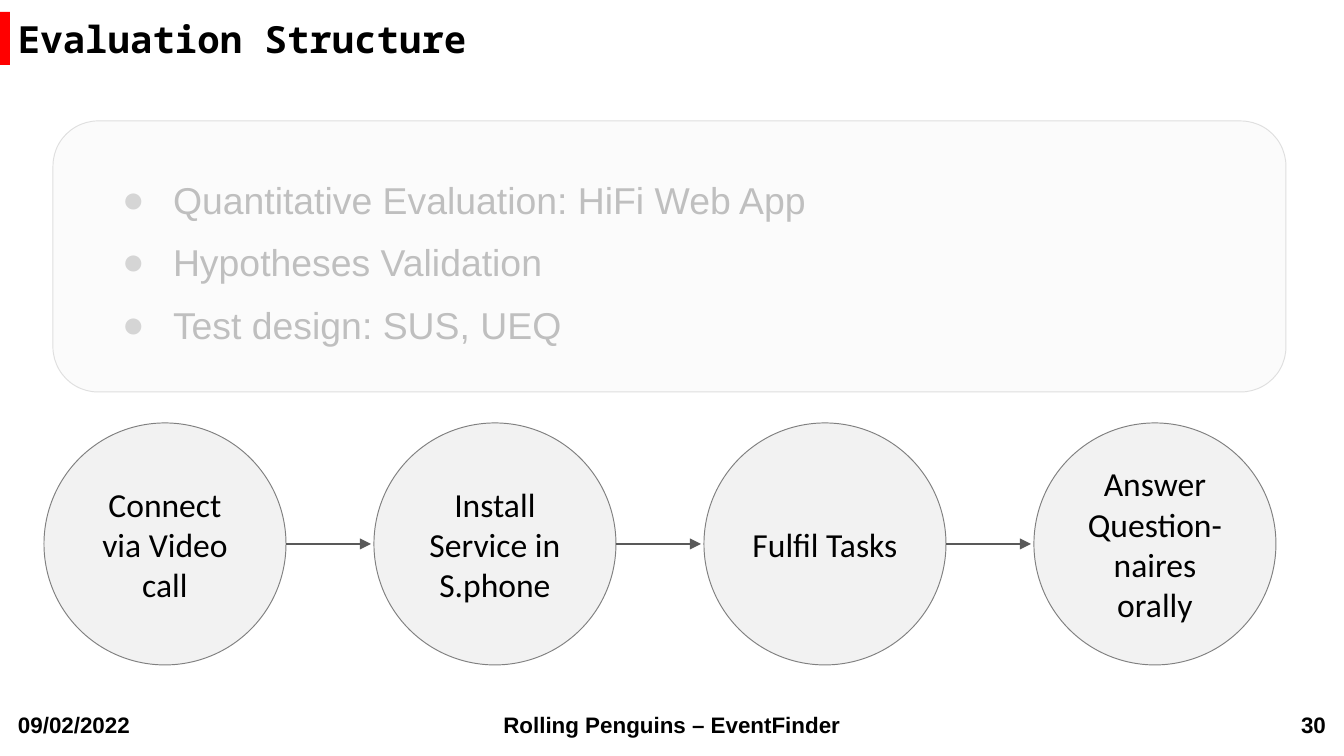
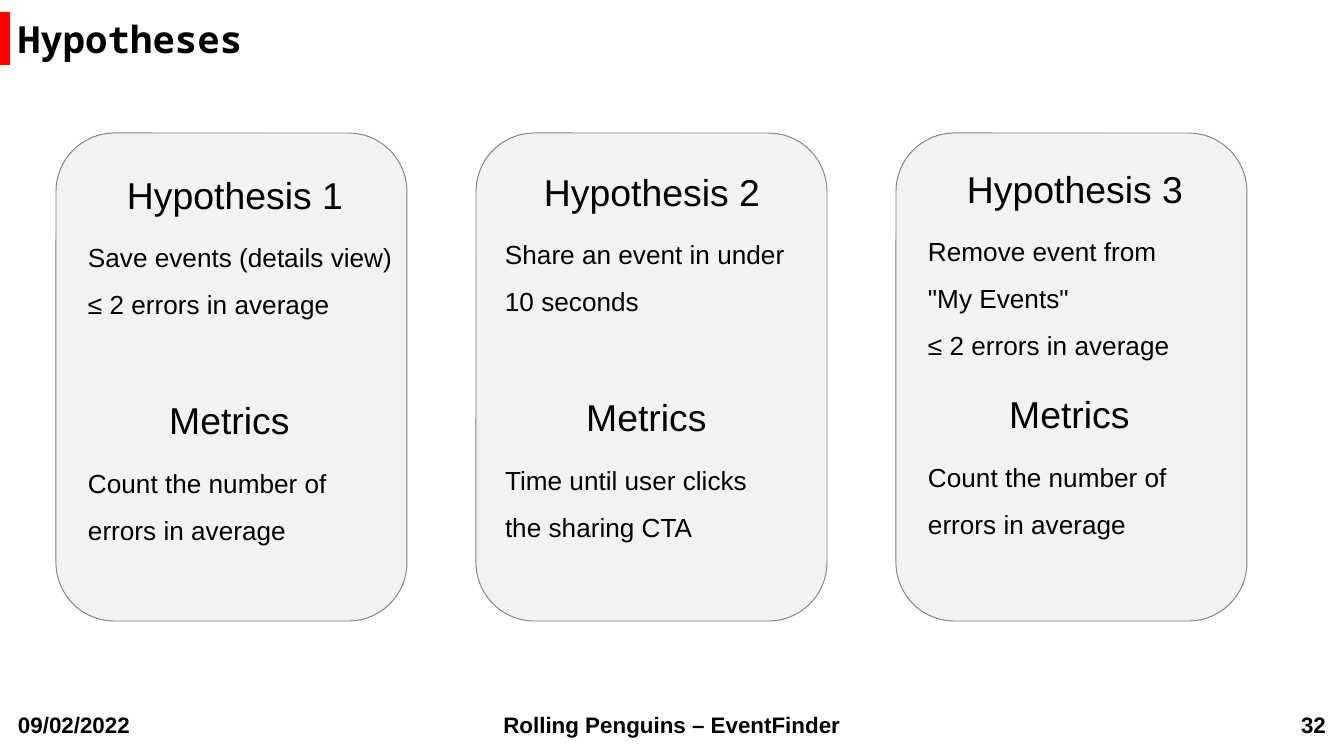
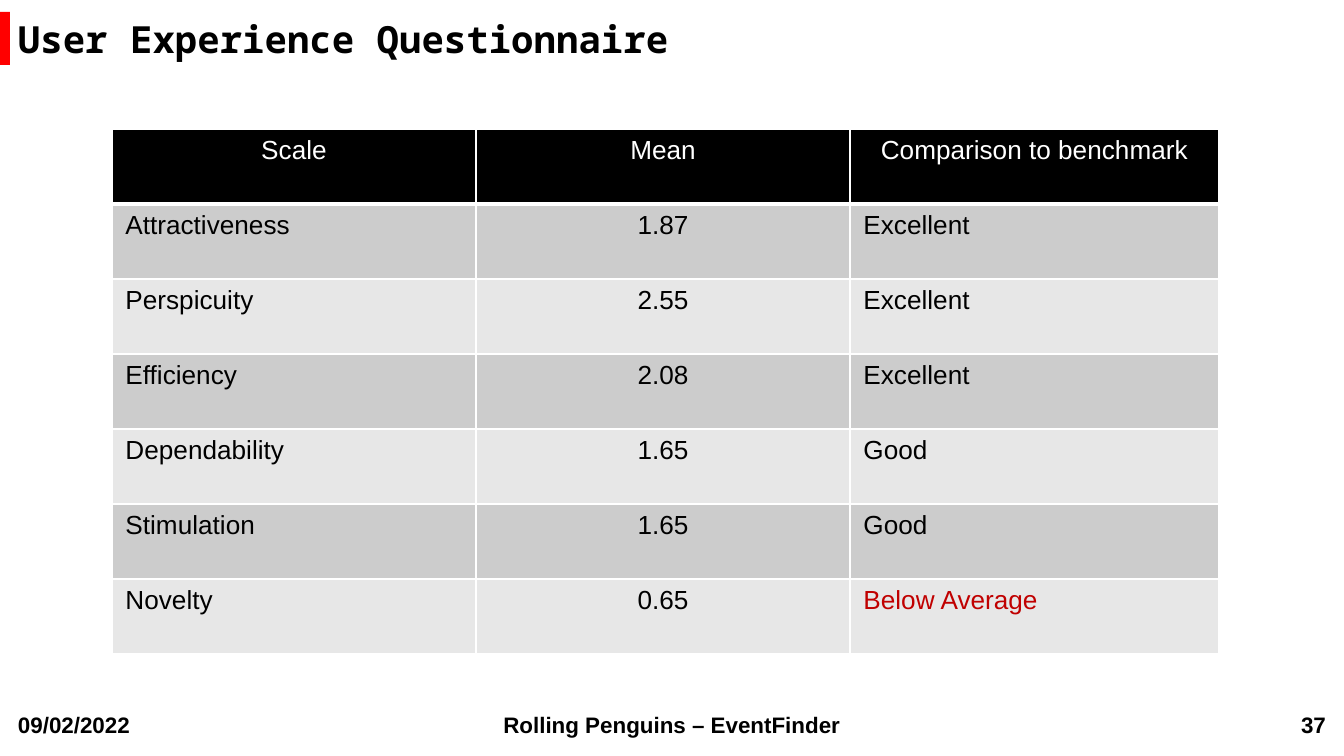
import dataclasses

import lxml.etree
import pptx
import pptx.dml.color
import pptx.enum.shapes
import pptx.enum.text
import pptx.oxml.ns
import pptx.util

EMU_PER_PX = 914400 / 134.4
SLIDE_WIDTH, SLIDE_HEIGHT = 1344, 756
TITLE_AND_CONTENT, TITLE_ONLY = 1, 5

ALIGN = pptx.enum.text.PP_ALIGN
ANCHOR = pptx.enum.text.MSO_ANCHOR
SHAPE = pptx.enum.shapes.MSO_SHAPE
qn = pptx.oxml.ns.qn


@dataclasses.dataclass(frozen=True)
class TextStyle:
    font: str = "Arial"
    size: int = 14
    color: str = "000000"
    bold: bool = False


@dataclasses.dataclass(frozen=True)
class Theme:
    white: str = "FFFFFF"
    accent: str = "FF0000"
    panel: str = "F2F2F2"
    outline: str = "808080"
    dark_grey: str = "595959"
    table_header: str = "000000"
    table_bands: tuple = ("CCCCCC", "E7E7E7")
    title: TextStyle = TextStyle("Noto Sans Mono", 20, bold=True)
    footer: TextStyle = TextStyle(size=12, bold=True)
    heading: TextStyle = TextStyle(size=20)
    body: TextStyle = TextStyle()
    step: TextStyle = TextStyle("Calibri", 18)
    header_cell: TextStyle = TextStyle(color="FFFFFF")
    warning: TextStyle = TextStyle(color="C00000")


def px(length):
    return pptx.util.Emu(round(length * EMU_PER_PX))


def rgb(color):
    return pptx.dml.color.RGBColor.from_string(color)


def add_element(parent, tag, **attributes):
    return lxml.etree.SubElement(parent, qn(tag), **attributes)


def add_solid_fill(parent, color):
    add_element(add_element(parent, "a:solidFill"), "a:srgbClr", val=color)


class Deck:
    def __init__(self, theme):
        self.theme = theme
        self.presentation = pptx.Presentation()
        self.presentation.slide_width = px(SLIDE_WIDTH)
        self.presentation.slide_height = px(SLIDE_HEIGHT)
        self.slide = None

    def start_slide(self, title, number, layout=TITLE_ONLY):
        layouts = self.presentation.slide_layouts
        self.slide = self.presentation.slides.add_slide(layouts[layout])
        self.shape(SHAPE.RECTANGLE, (0, 12, 10, 53), self.theme.accent)
        self.move(self.slide.shapes.title, (18, 12, 1166, 53))
        self.fill_text(self.slide.shapes.title.text_frame, title,
                       self.theme.title, anchor=ANCHOR.MIDDLE, inset=0)
        for left, width, text, align in (
            (18, 140, "09/02/2022", ALIGN.LEFT),
            (446, 452, "Rolling Penguins – EventFinder", ALIGN.CENTER),
            (1246, 80, str(number), ALIGN.RIGHT),
        ):
            self.text_box((left, 706, width, 38), text, self.theme.footer,
                          align=align, anchor=ANCHOR.MIDDLE, inset=0)

    def move(self, shape, box):
        shape.left, shape.top, shape.width, shape.height = map(px, box)

    def fill_text(self, frame, text, style, align=ALIGN.LEFT,
                  anchor=ANCHOR.TOP, inset=13, spacing=1.0, indent=0,
                  bullet=False):
        """Fill a text frame; \\n starts a paragraph, \\v breaks a line."""
        frame.text = text
        frame.word_wrap = True
        frame.auto_size = pptx.enum.text.MSO_AUTO_SIZE.NONE
        frame.vertical_anchor = anchor
        frame.margin_left = frame.margin_right = px(inset)
        frame.margin_top = frame.margin_bottom = px(inset)
        for paragraph in frame.paragraphs:
            paragraph.line_spacing = spacing
            paragraph.space_before = pptx.util.Pt(0)
            if indent:
                paragraph._p.get_or_add_pPr().set("marL", str(px(indent)))
            if bullet:
                self.bullet(paragraph)
            self.format(paragraph, style, align)

    def bullet(self, paragraph):
        properties = paragraph._p.get_or_add_pPr()
        properties.set("indent", str(px(-51)))
        color = add_element(properties, "a:buClr")
        add_element(color, "a:srgbClr", val=self.theme.dark_grey)
        add_element(properties, "a:buChar", char="●")

    def format(self, paragraph, style, align):
        paragraph.alignment = align
        font = paragraph.font
        font.name, font.bold = style.font, style.bold
        font.size = pptx.util.Pt(style.size)
        font.color.rgb = rgb(style.color)

    def text_box(self, box, text, style, **layout):
        shape = self.slide.shapes.add_textbox(*map(px, box))
        self.fill_text(shape.text_frame, text, style, **layout)

    def bullet_list(self, box, items):
        """Fill the body placeholder and bring it to the front."""
        body = self.slide.placeholders[1]
        self.move(body, box)
        self.fill_text(body.text_frame, "\n".join(items), self.theme.heading,
                       spacing=1.4, indent=67, bullet=True)
        body.element.getparent().append(body.element)

    def shape(self, kind, box, fill, outline=None):
        shape = self.slide.shapes.add_shape(kind, *map(px, box))
        shape.shadow.inherit = False
        shape.fill.solid()
        shape.fill.fore_color.rgb = rgb(fill)
        if outline:
            shape.line.color.rgb = rgb(outline)
            shape.line.width = pptx.util.Pt(0.5)
        else:
            shape.line.fill.background()
        return shape

    def panel(self, kind, box):
        return self.shape(kind, box, self.theme.panel, self.theme.outline)

    def step(self, box, text):
        circle = self.panel(SHAPE.FLOWCHART_CONNECTOR, box)
        self.fill_text(circle.text_frame, text, self.theme.step,
                       align=ALIGN.CENTER, anchor=ANCHOR.MIDDLE)

    def veil(self, box, opacity):
        """Fade what lies below with a translucent white rectangle."""
        veil = self.shape(SHAPE.RECTANGLE, box, self.theme.white)
        color = veil.element.spPr.find(qn("a:solidFill"))[0]
        add_element(color, "a:alpha", val=str(opacity * 1000))

    def arrow(self, start, end, y):
        arrow = self.slide.shapes.add_connector(
            pptx.enum.shapes.MSO_CONNECTOR.STRAIGHT,
            px(start), px(y), px(end), px(y))
        arrow.line.color.rgb = rgb(self.theme.dark_grey)
        arrow.line.width = pptx.util.Pt(0.75)
        properties = arrow.element.spPr
        add_element(properties.find(qn("a:ln")), "a:tailEnd", type="triangle")
        add_element(properties, "a:effectLst")

    def table(self, left, top, widths, row_height, rows, centered, warnings):
        """Draw rows, the first as header; warnings are texts to highlight."""
        table = self.slide.shapes.add_table(
            len(rows), len(widths), px(left), px(top),
            px(sum(widths)), px(row_height * len(rows))).table
        for column, width in zip(table.columns, widths):
            column.width = px(width)
        for row_index, values in enumerate(rows):
            table.rows[row_index].height = px(row_height)
            for column_index, text in enumerate(values):
                cell = table.cell(row_index, column_index)
                header = row_index == 0
                style, fill = self.theme.body, self.theme.table_bands[(row_index - 1) % 2]
                if header:
                    style, fill = self.theme.header_cell, self.theme.table_header
                elif text in warnings:
                    style = self.theme.warning
                cell.text = text
                center = header or column_index in centered
                self.format(cell.text_frame.paragraphs[0], style,
                            ALIGN.CENTER if center else ALIGN.LEFT)
                self.borders(cell, bottom=3 if header else 1)
                cell.fill.solid()
                cell.fill.fore_color.rgb = rgb(fill)

    def borders(self, cell, bottom):
        properties = cell._tc.get_or_add_tcPr()
        for side, points in (("L", 1), ("R", 1), ("T", 1), ("B", bottom)):
            line = add_element(properties, f"a:ln{side}",
                               w=str(pptx.util.Pt(points)))
            add_solid_fill(line, self.theme.white)


def evaluation_structure(deck):
    deck.start_slide("Evaluation Structure", 30, TITLE_AND_CONTENT)
    deck.panel(SHAPE.ROUNDED_RECTANGLE, (53, 121, 1233, 271))
    deck.bullet_list((93, 146, 1133, 219), (
        "Quantitative Evaluation: HiFi Web App",
        "Hypotheses Validation",
        "Test design: SUS, UEQ",
    ))
    steps = ("Connect via Video call", "Install Service in S.phone",
             "Fulfil Tasks", "Answer Question-naires orally")
    first_left, top, diameter, pitch = 44, 423, 242, 330
    for index, text in enumerate(steps):
        left = first_left + index * pitch
        deck.step((left, top, diameter, diameter), text)
        if index < len(steps) - 1:
            deck.arrow(left + diameter, left + pitch - 3, top + diameter // 2)
    deck.veil((18, 87, 1289, 329), 75)


def hypotheses(deck):
    deck.start_slide("Hypotheses", 32)
    errors = "≤ 2 errors in average"
    count_errors = "Count the number of errors in average"
    columns = (
        (59, 137, f"Save events (details view)\v{errors}", count_errors),
        (476, 134, "Share an event in under 10 seconds",
         "Time until user clicks the sharing CTA"),
        (899, 131, f"Remove event from\v\"My Events\"\n{errors}", count_errors),
    )
    heading, body = deck.theme.heading, deck.theme.body
    for index, (left, top, statement, metric) in enumerate(columns):
        deck.panel(SHAPE.ROUNDED_RECTANGLE, (56 + 420 * index, 133, 351, 488))
        for x, y, width, height, text, style, align in (
            (39, 0, 271, 98, f"Hypothesis {index + 1}", heading, ALIGN.LEFT),
            (0, 76, 347, 130, statement, body, ALIGN.LEFT),
            (27, 225, 271, 98, "Metrics", heading, ALIGN.CENTER),
            (0, 302, 324, 98, metric, body, ALIGN.LEFT),
        ):
            deck.text_box((left + x, top + y, width, height), text, style,
                          align=align, spacing=1.5, indent=16)


def user_experience_questionnaire(deck):
    deck.start_slide("User Experience Questionnaire", 37)
    rows = (
        ("Scale", "Mean", "Comparison to benchmark"),
        ("Attractiveness", "1.87", "Excellent"),
        ("Perspicuity", "2.55", "Excellent"),
        ("Efficiency", "2.08", "Excellent"),
        ("Dependability", "1.65", "Good"),
        ("Stimulation", "1.65", "Good"),
        ("Novelty", "0.65", "Below Average"),
    )
    deck.table(112, 129, (364, 374, 369), 75, rows,
               centered={1}, warnings={"Below Average"})


def main():
    deck = Deck(Theme())
    evaluation_structure(deck)
    hypotheses(deck)
    user_experience_questionnaire(deck)
    deck.presentation.save("out.pptx")


if __name__ == "__main__":
    main()
